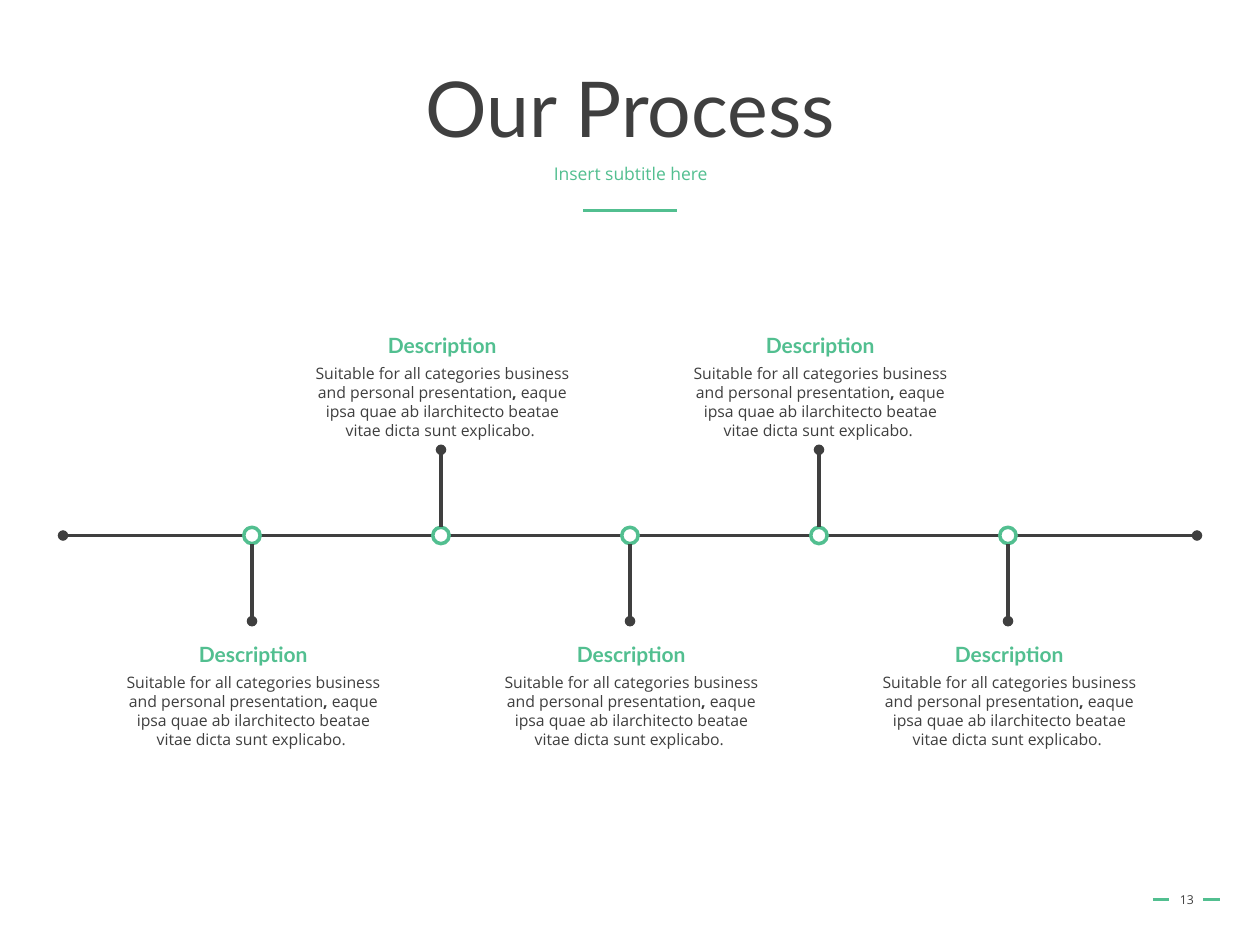
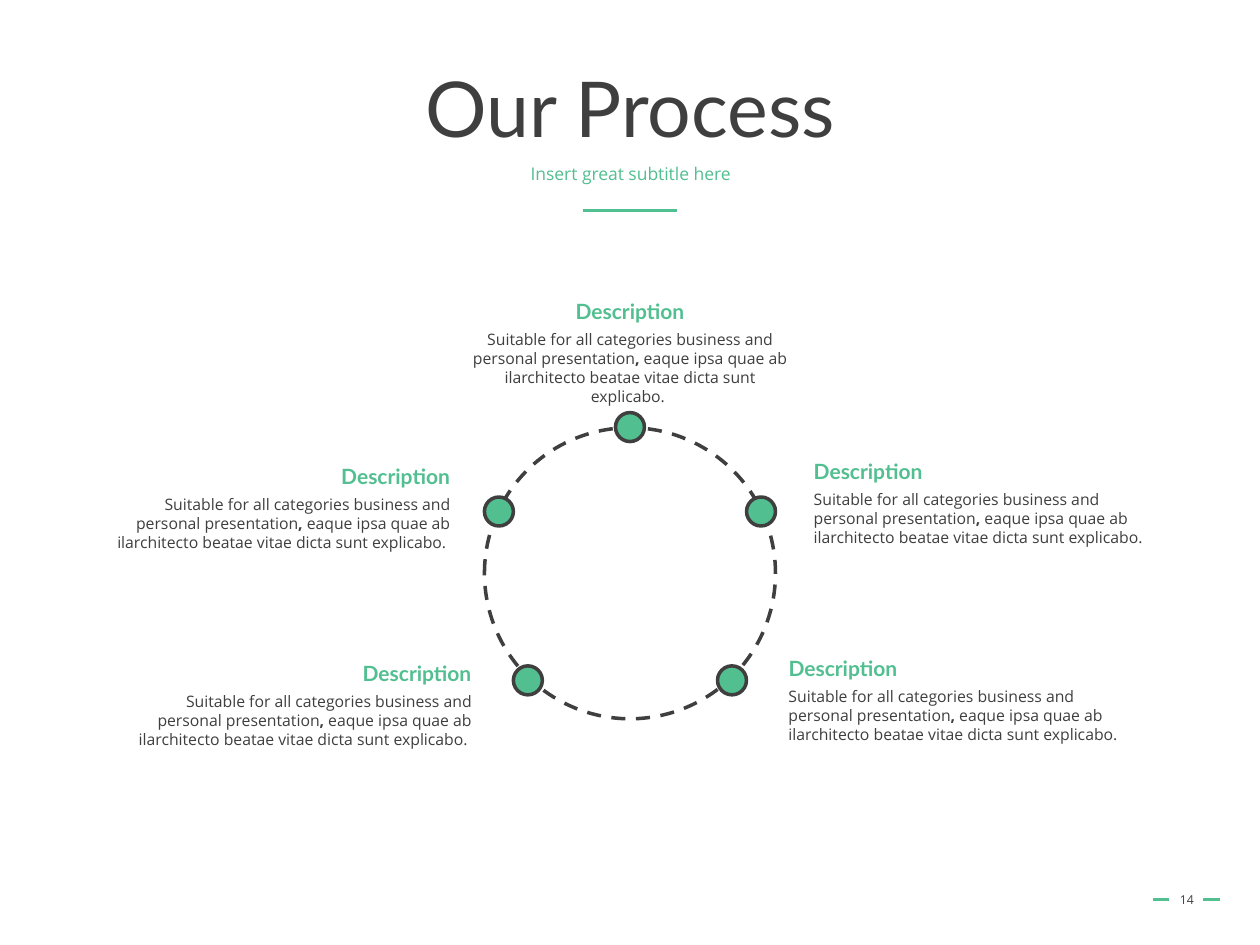
"""Build two process slides: a timeline and a ring of steps."""
from dataclasses import dataclass

from lxml import etree
from pptx import Presentation
from pptx.dml.color import RGBColor
from pptx.enum.dml import MSO_LINE
from pptx.enum.shapes import MSO_CONNECTOR, MSO_SHAPE
from pptx.enum.text import MSO_ANCHOR, MSO_AUTO_SIZE, PP_ALIGN
from pptx.oxml.ns import qn
from pptx.util import Inches, Pt

LEFT, CENTER, RIGHT = PP_ALIGN.LEFT, PP_ALIGN.CENTER, PP_ALIGN.RIGHT
TOP, MIDDLE = MSO_ANCHOR.TOP, MSO_ANCHOR.MIDDLE
GROW = MSO_AUTO_SIZE.SHAPE_TO_FIT_TEXT
STRAIGHT, OVAL, DASH = MSO_CONNECTOR.STRAIGHT, MSO_SHAPE.OVAL, MSO_LINE.DASH


@dataclass(frozen=True)
class Theme:
    green: RGBColor = RGBColor(0x52, 0xBF, 0x90)
    dark: RGBColor = RGBColor(0x3F, 0x3F, 0x3F)
    white: RGBColor = RGBColor(0xFF, 0xFF, 0xFF)
    heading_font: str = "Lato"
    body_font: str = "Open Sans"
    title_size: float = 44
    heading_size: float = 12
    subtitle_size: float = 10
    body_size: float = 9
    number_size: float = 7
    rule_width: float = 1.75
    diagram_width: float = 2


THEME = Theme()

TITLE = "Our Process"
HEADING = "Description"
BODY = [
    ("Suitable for all categories business and personal presentation", False),
    (",", True),
    (" eaque ipsa quae ab ilarchitecto beatae vitae dicta sunt explicabo. ", False),
]

RULES = [(4.63, 5.37, 1.67), (9.15, 9.28, 7.14), (9.55, 9.68, 7.14)]

AXIS_Y = 4.25
AXIS_ENDS = (0.5, 9.5)
MILESTONES = ["below", "above", "below", "above", "below"]
FIRST_MILESTONE, MILESTONE_STEP = 2, 1.5
MILESTONE_SIZE = 0.13
STEM_START, STEM_END = 0.07, 0.68
CAPTION_TOPS = {"above": 2.59, "below": 5.04}

RING_CENTER = (5, 4.55)
RING_SIZE = 2.31
NODE_SIZE = 0.23
RING_STEPS = [
    {"offset": (0, -1.16), "anchor": 5, "top": 2.32, "width": 2.76, "align": CENTER},
    {"offset": (1.04, -0.49), "anchor": 6.36, "top": 3.59, "width": 2.83, "align": LEFT},
    {"offset": (0.81, 0.85), "anchor": 6.16, "top": 5.15, "width": 2.83, "align": LEFT},
    {"offset": (-0.81, 0.85), "anchor": 3.84, "top": 5.19, "width": 2.85, "align": RIGHT},
    {"offset": (-1.04, -0.49), "anchor": 3.67, "top": 3.63, "width": 2.85, "align": RIGHT},
]

HEADING_WIDTH, HEADING_HEIGHT = 1.71, 0.3
BODY_DROP = 0.25
ANCHOR_SHARE = {LEFT: 0, CENTER: 0.5, RIGHT: 1}


def add_text(page, text, left, top, width, height, *, size, color=THEME.dark,
             font=THEME.body_font, bold=False, align=CENTER, anchor=TOP,
             spacing=1.0, auto_size=MSO_AUTO_SIZE.NONE):
    box = page.shapes.add_textbox(*map(Inches, (left, top, width, height)))
    frame = box.text_frame
    frame.word_wrap = True
    frame.auto_size = auto_size
    frame.vertical_anchor = anchor
    para = frame.paragraphs[0]
    para.alignment = align
    para.line_spacing = spacing
    spans = [(text, bold)] if isinstance(text, str) else text
    for words, is_bold in spans:
        span = para.add_run()
        span.text = words
        span.font.name = font
        span.font.size = Pt(size)
        span.font.bold = is_bold
        span.font.color.rgb = color


def add_line(page, start, end, color, width, head=False, tail=False):
    line = page.shapes.add_connector(STRAIGHT, *map(Inches, (*start, *end)))
    line.line.color.rgb = color
    line.line.width = Pt(width)
    properties = line._element.spPr
    outline = properties.find(qn("a:ln"))
    for tag, wanted in (("a:headEnd", head), ("a:tailEnd", tail)):
        if wanted:
            etree.SubElement(outline, qn(tag), type="oval")
    etree.SubElement(properties, qn("a:effectLst"))


def add_circle(page, center, size, outline, fill=None):
    left, top = (value - size / 2 for value in center)
    circle = page.shapes.add_shape(OVAL, *map(Inches, (left, top, size, size)))
    circle.shadow.inherit = False
    circle.line.color.rgb = outline
    circle.line.width = Pt(THEME.diagram_width)
    if fill is None:
        circle.fill.background()
    else:
        circle.fill.solid()
        circle.fill.fore_color.rgb = fill
    return circle


def add_caption(page, anchor, top, width, height, align=CENTER):
    share = ANCHOR_SHARE[align]
    add_text(page, BODY, anchor - width * share, top + BODY_DROP, width, height,
             size=THEME.body_size, align=align, auto_size=GROW)
    add_text(page, HEADING, anchor - HEADING_WIDTH * share, top,
             HEADING_WIDTH, HEADING_HEIGHT, size=THEME.heading_size,
             font=THEME.heading_font, color=THEME.green, bold=True,
             align=align, auto_size=GROW)


def add_page(deck, subtitle, number):
    page = deck.slides.add_slide(deck.slide_layouts[6])
    for start, end, y in RULES:
        add_line(page, (start, y), (end, y), THEME.green, THEME.rule_width)
    add_text(page, TITLE, 0.69, 0.4, 8.63, 0.98, size=THEME.title_size,
             font=THEME.heading_font, anchor=MIDDLE, spacing=0.9)
    add_text(page, number, 9.2, 6.94, 0.44, 0.4, size=THEME.number_size, anchor=MIDDLE)
    add_text(page, subtitle, 0.69, 1.26, 8.63, 0.4, size=THEME.subtitle_size,
             color=THEME.green, spacing=0.9)
    return page


def draw_timeline(page):
    start, end = AXIS_ENDS
    add_line(page, (start, AXIS_Y), (end, AXIS_Y), THEME.dark,
             THEME.diagram_width, head=True, tail=True)
    for index, side in enumerate(MILESTONES):
        x = FIRST_MILESTONE + index * MILESTONE_STEP
        direction = 1 if side == "below" else -1
        add_circle(page, (x, AXIS_Y), MILESTONE_SIZE, THEME.green, THEME.white)
        add_line(page, (x, AXIS_Y + direction * STEM_START),
                 (x, AXIS_Y + direction * STEM_END), THEME.dark,
                 THEME.diagram_width, tail=True)
        add_caption(page, x + 0.01, CAPTION_TOPS[side], 2.28, 0.7)


def draw_ring(page):
    ring = add_circle(page, RING_CENTER, RING_SIZE, THEME.dark)
    ring.line.dash_style = DASH
    for step in RING_STEPS:
        center = [base + shift for base, shift in zip(RING_CENTER, step["offset"])]
        add_circle(page, center, NODE_SIZE, THEME.dark, THEME.green)
        height = 0.7 if step["align"] == CENTER else 0.55
        add_caption(page, step["anchor"], step["top"], step["width"], height, step["align"])


def main():
    deck = Presentation()
    deck.slide_width, deck.slide_height = Inches(10), Inches(7.5)
    draw_timeline(add_page(deck, "Insert subtitle here", "13"))
    draw_ring(add_page(deck, "Insert great subtitle here", "14"))
    deck.save("out.pptx")


if __name__ == "__main__":
    main()
